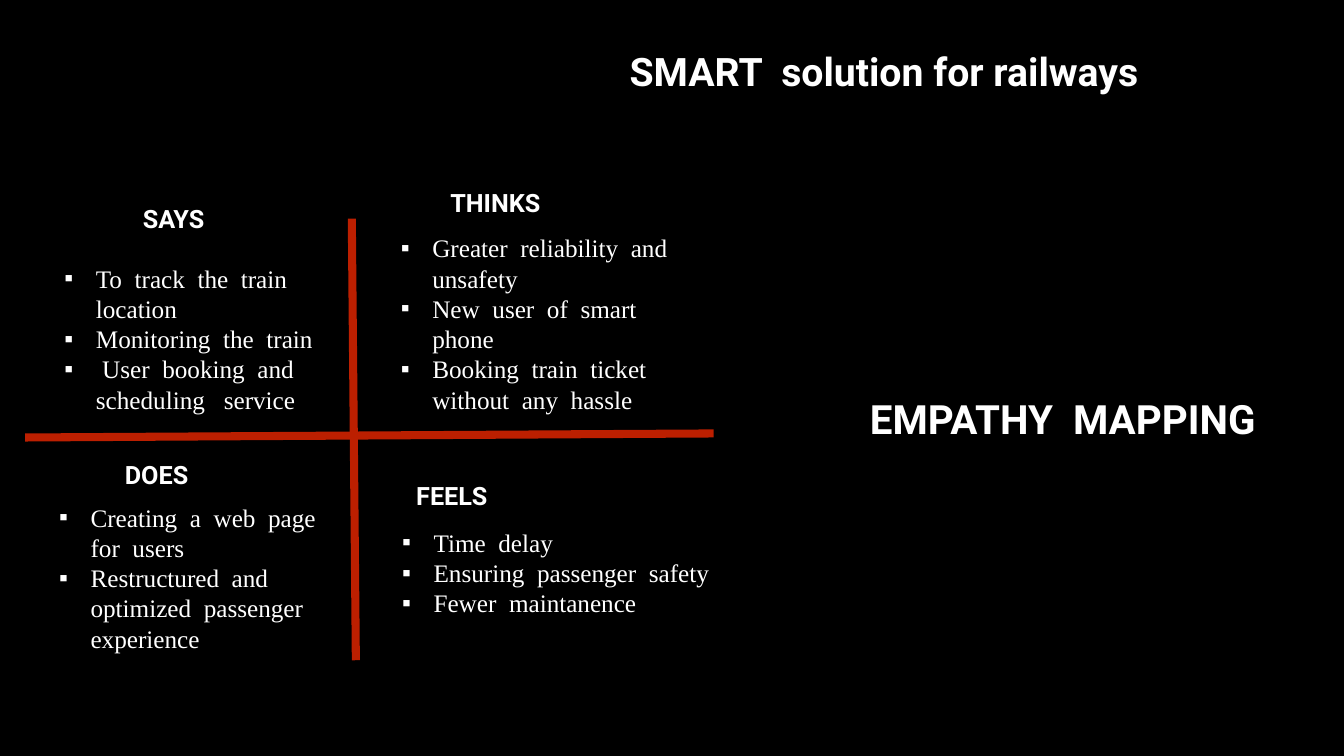
"""Build the empathy mapping slide for the railway solution."""
from lxml.etree import SubElement
from pptx import Presentation
from pptx.dml.color import RGBColor
from pptx.enum.shapes import MSO_CONNECTOR
from pptx.enum.text import MSO_ANCHOR, PP_ALIGN
from pptx.oxml.ns import qn
from pptx.util import Pt

COLORS = {"background": "000000", "text": "FFFFFF", "axis": "BC1F00"}
HEADING_FONT = "Roboto"
BODY_FONT = "Times New Roman"
BULLET_INDENT = Pt(22.5)

QUADRANTS = [
    ("SAYS", (95, 141.8), (38.9, 184.3, 209.5, 138.2),
     ["To  track  the  train  location", "Monitoring  the  train",
      " User  booking  and  scheduling   service"]),
    ("THINKS", (314.6, 130.3), (279.2, 162.7, 215.3, 138.2),
     ["Greater  reliability  and  unsafety", "New  user  of  smart  phone",
      "Booking  train  ticket  without  any  hassle"]),
    ("DOES", (82.1, 324.7), (35.1, 355, 223.9, 181.4),
     ["Creating  a  web  page  for  users",
      "Restructured  and  optimized  passenger  experience"]),
    ("FEELS", (290.2, 339.5), (280.1, 373, 236.2, 72.7),
     ["Time  delay", "Ensuring  passenger  safety", "Fewer  maintanence"]),
]
AXES = [(251.3, 156.2, 254.2, 471.6), (18, 312.5, 509.8, 309.6)]


def add_text_frame(slide, box):
    """Add a wrapping text box and return its text frame."""
    text_frame = slide.shapes.add_textbox(*map(Pt, box)).text_frame
    text_frame.word_wrap = True
    return text_frame


def add_run(paragraph, text, size, font_name, bold=False):
    """Add one formatted run to a paragraph."""
    run = paragraph.add_run()
    run.text = text
    run.font.size = Pt(size)
    run.font.name = font_name
    run.font.bold = bold
    run.font.color.rgb = RGBColor.from_string(COLORS["text"])


def add_heading(slide, text, box, size, alignment=PP_ALIGN.LEFT, anchor=MSO_ANCHOR.TOP):
    """Add a bold one-line heading."""
    text_frame = add_text_frame(slide, box)
    text_frame.vertical_anchor = anchor
    paragraph = text_frame.paragraphs[0]
    paragraph.alignment = alignment
    add_run(paragraph, text, size, HEADING_FONT, bold=True)


def add_bullet_list(slide, items, box):
    """Add a list with square bullets and a hanging indent."""
    text_frame = add_text_frame(slide, box)
    for index, item in enumerate(items):
        paragraph = text_frame.add_paragraph() if index else text_frame.paragraphs[0]
        properties = paragraph._p.get_or_add_pPr()
        properties.set("marL", str(BULLET_INDENT))
        properties.set("indent", str(-BULLET_INDENT))
        SubElement(properties, qn("a:buFont"), typeface=BODY_FONT)
        SubElement(properties, qn("a:buChar"), char="▪")
        add_run(paragraph, item, 18, BODY_FONT)


def add_axis(slide, ends):
    """Add one thick line that divides the map."""
    axis = slide.shapes.add_connector(MSO_CONNECTOR.STRAIGHT, *map(Pt, ends))
    axis.line.width = Pt(5.75)
    axis.line.color.rgb = RGBColor.from_string(COLORS["axis"])
    SubElement(axis._element.spPr, qn("a:effectLst"))


def main():
    """Create the slide and save it."""
    presentation = Presentation()
    presentation.slide_width = Pt(960)
    presentation.slide_height = Pt(540)
    slide = presentation.slides.add_slide(presentation.slide_layouts[6])
    slide.background.fill.solid()
    slide.background.fill.fore_color.rgb = RGBColor.from_string(COLORS["background"])

    add_heading(slide, "EMPATHY  MAPPING", (612.7, 239, 293, 119.5), 28.8,
                PP_ALIGN.CENTER, MSO_ANCHOR.MIDDLE)
    for ends in AXES:
        add_axis(slide, ends)
    for heading, position, list_box, items in QUADRANTS:
        add_heading(slide, heading, (*position, 144.7, 29.5), 18)
        add_bullet_list(slide, items, list_box)
    add_heading(slide, "SMART  solution for railways", (353.5, 30.2, 555.8, 41), 28,
                PP_ALIGN.CENTER)

    presentation.save("out.pptx")


if __name__ == "__main__":
    main()
